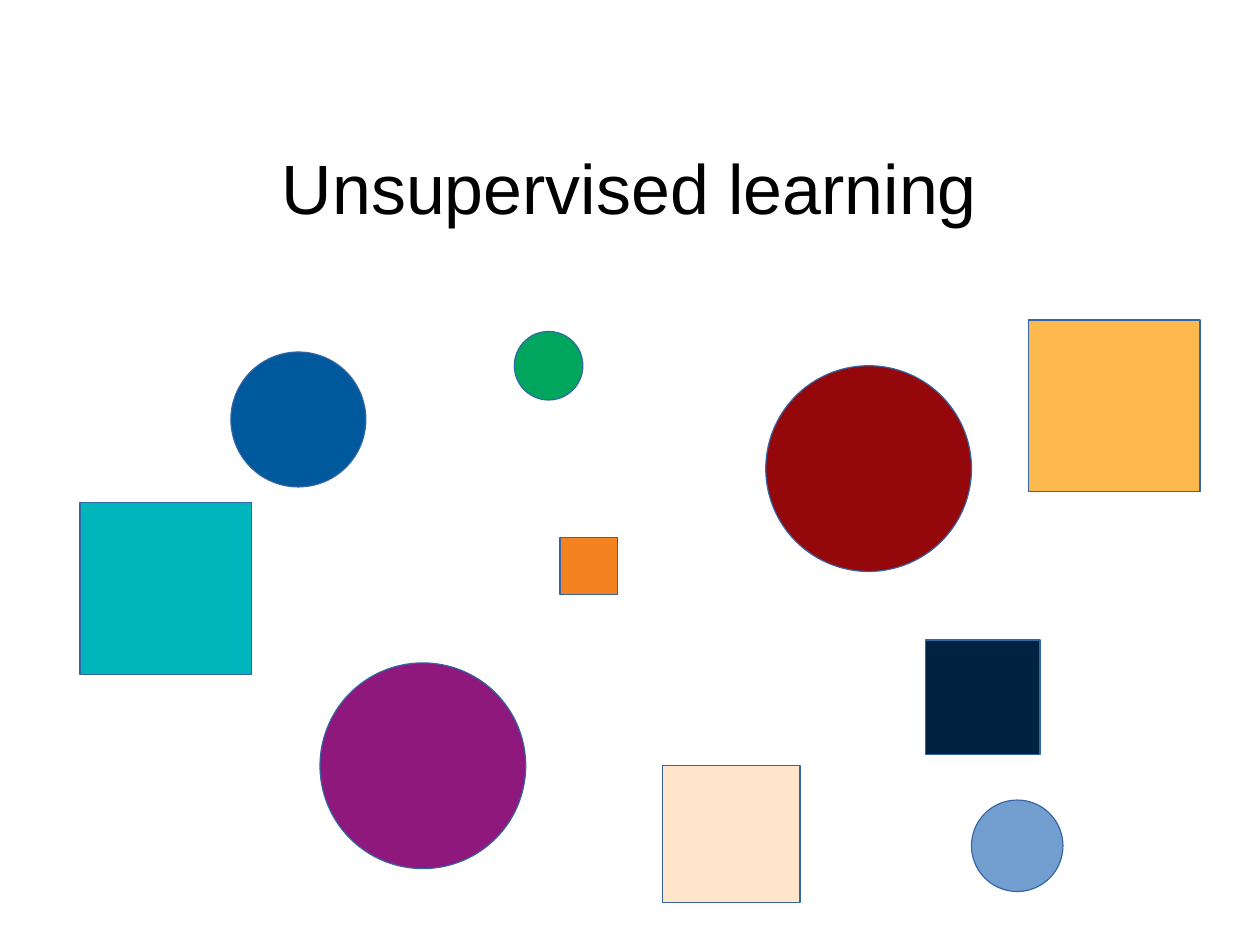
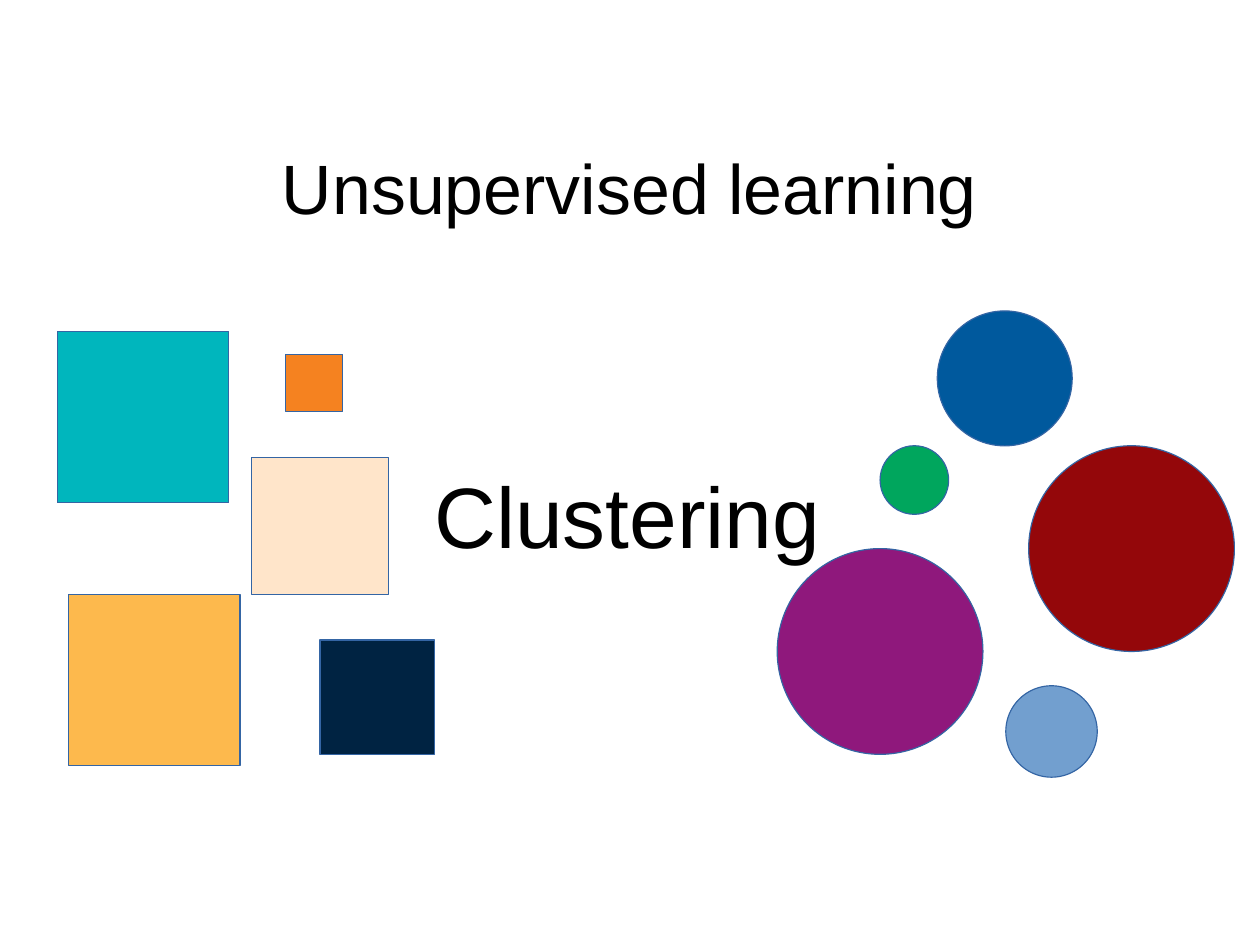
from dataclasses import dataclass

from pptx import Presentation
from pptx.dml.color import RGBColor
from pptx.enum.shapes import MSO_SHAPE
from pptx.enum.text import MSO_ANCHOR, PP_ALIGN
from pptx.slide import Slide
from pptx.util import Pt

COLORS = {
    "text": "000000", "outline": "3465A4", "background": "FFFFFF",
    "blue": "00599D", "green": "00A65D", "red": "94070A", "purple": "8F187C",
    "navy": "002342", "teal": "00B6BD", "orange": "F58220", "amber": "FDB94D",
    "cream": "FFE5CA", "sky": "729FCF",
}
FONT = "Arial"
CIRCLE, SQUARE = MSO_SHAPE.OVAL, MSO_SHAPE.RECTANGLE

TITLE_FORMAT = {"vertical_anchor": MSO_ANCHOR.MIDDLE, "margin_left": 0,
                "margin_top": 0, "margin_right": 0, "margin_bottom": 0}
LABEL_FORMAT = {"vertical_anchor": MSO_ANCHOR.TOP, "margin_left": Pt(7.2),
                "margin_top": Pt(3.6), "margin_right": Pt(7.2),
                "margin_bottom": Pt(3.6)}


@dataclass(frozen=True)
class Item:
    """A data point with its left and top before and after clustering."""
    kind: MSO_SHAPE
    color: str
    size: float
    scattered: tuple[float, float]
    clustered: tuple[float, float]


ITEMS = [
    Item(CIRCLE, "blue", 85, (145.44, 221.76), (590.4, 195.84)),
    Item(CIRCLE, "green", 43.2, (324, 208.8), (554.4, 280.8)),
    Item(CIRCLE, "red", 129.6, (482.4, 230.4), (648, 280.8)),
    Item(CIRCLE, "purple", 129.6, (201.6, 417.6), (489.6, 345.6)),
    Item(SQUARE, "navy", 72, (583.2, 403.2), (201.6, 403.2)),
    Item(SQUARE, "teal", 108, (50.4, 316.8), (36, 208.8)),
    Item(SQUARE, "orange", 36, (352.8, 338.4), (180, 223.2)),
    Item(SQUARE, "amber", 108, (648, 201.6), (43.2, 374.4)),
    Item(SQUARE, "cream", 86.4, (417.6, 482.4), (158.4, 288)),
    Item(CIRCLE, "sky", 57.6, (612, 504), (633.6, 432)),
]


def rgb(name: str) -> RGBColor:
    return RGBColor.from_string(COLORS[name])


def add_text(s: Slide, text: str, box: tuple[float, float, float, float],
             size: float, align: PP_ALIGN, frame_format: dict) -> None:
    tf = s.shapes.add_textbox(*map(Pt, box)).text_frame
    for name, value in {"word_wrap": True, **frame_format}.items():
        setattr(tf, name, value)
    p = tf.paragraphs[0]
    p.alignment = align
    r = p.add_run()
    r.text = text
    for name, value in {"name": FONT, "size": Pt(size)}.items():
        setattr(r.font, name, value)
    r.font.color.rgb = rgb("text")


def add_item(s: Slide, item: Item, position: tuple[float, float]) -> None:
    sp = s.shapes.add_shape(item.kind, *map(Pt, position),
                            Pt(item.size), Pt(item.size))
    sp.shadow.inherit = False
    sp.fill.solid()
    sp.fill.fore_color.rgb = rgb(item.color)
    sp.line.color.rgb = rgb("outline")
    sp.line.width = Pt(0.75)


def add_item_slide(prs: Presentation, arrangement: str) -> Slide:
    """Add a titled slide with the items in the named arrangement."""
    s = prs.slides.add_slide(prs.slide_layouts[6])
    s.background.fill.solid()
    s.background.fill.fore_color.rgb = rgb("background")
    add_text(s, "Unsupervised learning", (39.6, 76.32, 714.24, 82.08), 44,
             PP_ALIGN.CENTER, TITLE_FORMAT)
    for item in ITEMS:
        add_item(s, item, getattr(item, arrangement))
    return s


def main() -> None:
    prs = Presentation()
    prs.slide_width, prs.slide_height = Pt(793.7), Pt(595.28)
    add_item_slide(prs, "scattered")
    s = add_item_slide(prs, "clustered")
    add_text(s, "Clustering", (266.4, 288, 270, 58.32), 54,
             PP_ALIGN.LEFT, LABEL_FORMAT)
    prs.save("out.pptx")


if __name__ == "__main__":
    main()
